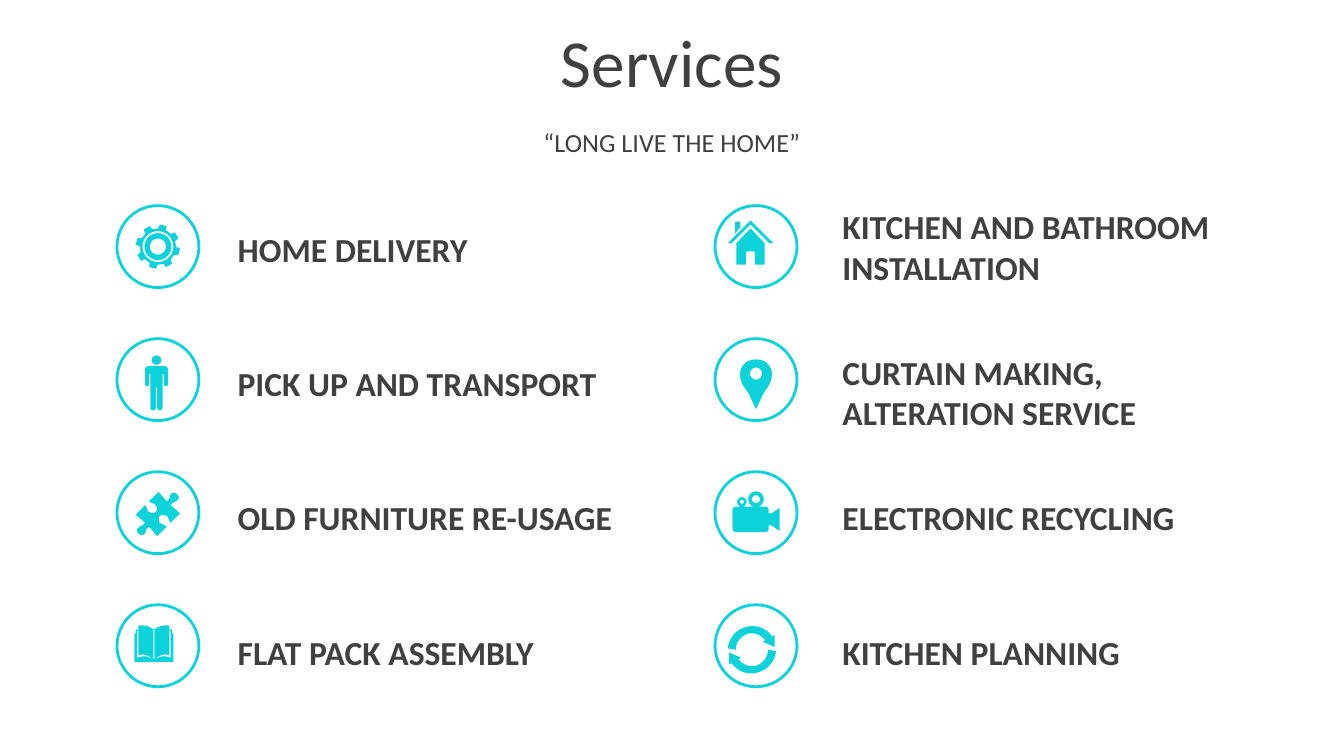
import math
from dataclasses import dataclass

import pptx
import pptx.dml.color
import pptx.enum.shapes
import pptx.enum.text
import pptx.util

Inches = pptx.util.Inches


@dataclass(frozen=True)
class Theme:
    accent: pptx.dml.color.RGBColor = pptx.dml.color.RGBColor(0x0D, 0xD2, 0xD9)
    ink: pptx.dml.color.RGBColor = pptx.dml.color.RGBColor(0x40, 0x40, 0x40)
    paper: pptx.dml.color.RGBColor = pptx.dml.color.RGBColor(255, 255, 255)
    font: str = "Calibri"
    title_size: int = 36
    subtitle_size: int = 14
    label_size: int = 18
    ring_width: float = 1.5


THEME = Theme()
RING = 0.61
FIRST_RING_TOP = 1.53
LAST_RING_TOP = 4.5
ROWS = 4


# Icon outlines are in hundredths of an inch around the icon's centre.
def trace(*steps):
    """Turn points (x, y) and Bezier steps (six numbers) into a list of points."""
    points = []
    for step in steps:
        if len(step) == 2:
            points.append(step)
            continue
        x0, y0 = points[-1]
        x1, y1, x2, y2, x3, y3 = step
        for t in (i / 8 for i in range(1, 9)):
            u = 1 - t
            weights = (u ** 3, 3 * u * u * t, 3 * u * t * t, t ** 3)
            points.append((sum(w * x for w, x in zip(weights, (x0, x1, x2, x3))),
                           sum(w * y for w, y in zip(weights, (y0, y1, y2, y3)))))
    return points


def polar(radius, degrees, x=0, y=0):
    angle = math.radians(degrees)
    return x + radius * math.cos(angle), y + radius * math.sin(angle)


def circle(x, y, radius):
    return [polar(radius, degrees, x, y) for degrees in range(0, 360, 10)]


def flip(points):
    return [(-x, y) for x, y in points]


def symmetric(points):
    return points + flip(points)[::-1]


def half_turn(points):
    return [(-x, -y) for x, y in points]


def gear():
    teeth = [polar(radius, 45 * tooth - 76 + turn)
             for tooth in range(8)
             for radius, turn in ((13.5, -13), (16.5, -9), (16.5, 9), (13.5, 13))]
    return [teeth] + [circle(0, 0, radius) for radius in (11.5, 10, 6)]


def person():
    body = trace((0, -10), (5.5, -10), (7.5, -10, 8.5, -9, 8.5, -7), (8.5, 4),
                 (8.5, 5, 5.5, 5, 5.5, 4), (5.5, -4), (4.5, -4), (4.5, 21),
                 (4.5, 23.5, 0.5, 23.5, 0.5, 21), (0.5, 6), (0, 6))
    return [symmetric(body), circle(0, -14.5, 3.5)]


def puzzle():
    half = trace((14.5, -14.5), (15.5, -13.5, 16.5, -11.5, 14.5, -10.5),
                 (13.5, -8.5, 11.5, -9.5, 9.5, -6.5), (16.5, -0.5), (9.5, 6.5),
                 (7.5, 4.5, 8.5, 2.5, 6.5, 1.5), (4.5, 0.5, 2.5, 0.5, 1.5, 1.5),
                 (0.5, 2.5, 0.5, 5.5, 1.5, 6.5), (3.5, 8.5, 4.5, 7.5, 6.5, 9.5),
                 (-0.5, 16.5), (-6.5, 9.5), (-9.5, 11.5, -8.5, 12.5, -9.5, 14.5),
                 (-11.5, 16.5, -13.5, 15.5, -14.5, 14.5))
    return [half + half_turn(half)]


def book():
    cover = trace((0, -12), (3, -14, 6, -15.5, 11.5, -15), (11.5, -12), (13.5, -12),
                  (13.5, -9), (14.5, -9), (14.5, 12), (0, 12))
    page_edge = trace((0.5, 10), (5.5, 8, 7.5, 7, 12.5, 9), (12.5, -11),
                      (11.5, -11), (11.5, 7), (7.5, 6, 4.5, 7, 0.5, 10))
    return [symmetric(cover), page_edge, flip(page_edge),
            symmetric([(0.4, -12), (0.4, 10)])]


def house():
    walls = trace((0, -13.5), (10.5, -2.5), (10.5, 13.5), (3.5, 13.5), (3.5, 6.5),
                  (3.5, 4.5, 3.5, 3.5, 1.5, 3.5), (0, 3.5))
    roof = [(0, -19.5), (17, -2.5), (14, -2.5), (0, -16.5)]
    chimney = [(-11.5, -18.5), (-7.5, -18.5), (-7.5, -14.5), (-11.5, -9.5)]
    return [symmetric(walls), symmetric(roof), chimney]


def pin():
    half = trace((0, -15), (3.5, -15, 6.5, -14, 8.5, -12),
                 (13.5, -7, 12.5, 0, 8.5, 6), (4.5, 11, 3.5, 15, 0, 22))
    return [symmetric(half), circle(0, -4.5, 4.5)]


def camera():
    body = trace((-14.5, -4.5), (6.5, -4.5), (8.5, -4.5, 9.5, -3.5, 9.5, -1.5),
                 (9.5, 0.5), (11.5, 0.5), (17.5, -3.5), (17.5, 13.5), (11.5, 9.5),
                 (9.5, 9.5), (9.5, 11.5), (9.5, 13.5, 8.5, 14.5, 6.5, 14.5),
                 (-14.5, 14.5), (-16.5, 14.5, -17.5, 13.5, -17.5, 11.5),
                 (-17.5, -1.5), (-17.5, -3.5, -16.5, -4.5, -14.5, -4.5))
    reels = [(-10.5, -8, 3.5), (-10.5, -8, 1.5), (0, -10, 5.8), (0, -10, 3)]
    return [body] + [circle(*reel) for reel in reels]


def cycle():
    arrow = trace((12, 0), (18, 1), (17, 9, 12, 15, 4, 17),
                  (-3, 19, -11, 16, -15, 10), (-17, 11), (-17, 2), (-8, 6), (-10, 7),
                  (-7, 11, -2, 13, 3, 12), (8, 10, 12, 6, 12, 0))
    return [arrow, half_turn(arrow)]


def add_ring(page, left, top):
    ring = page.shapes.add_shape(pptx.enum.shapes.MSO_SHAPE.OVAL, Inches(left),
                                 Inches(top), Inches(RING), Inches(RING))
    ring.shadow.inherit = False
    ring.fill.solid()
    ring.fill.fore_color.rgb = THEME.paper
    ring.line.color.rgb = THEME.accent
    ring.line.width = pptx.util.Pt(THEME.ring_width)


def add_icon(page, contours, center_x, center_y):
    placed = [[(Inches(center_x + x / 100), Inches(center_y + y / 100))
               for x, y in contour] for contour in contours]
    builder = page.shapes.build_freeform(*placed[0][0], scale=1.0)
    for index, contour in enumerate(placed):
        if index:
            builder.move_to(*contour[0])
        builder.add_line_segments(contour[1:], close=True)
    icon = builder.convert_to_shape()
    icon.shadow.inherit = False
    icon.fill.solid()
    icon.fill.fore_color.rgb = THEME.accent
    icon.line.fill.background()


def add_text(page, text, place, size, bold=False, centered=False):
    box = page.shapes.add_textbox(*(Inches(length) for length in place))
    frame = box.text_frame
    frame.word_wrap = True
    frame.vertical_anchor = pptx.enum.text.MSO_ANCHOR.MIDDLE
    para = frame.paragraphs[0]
    if centered:
        para.alignment = pptx.enum.text.PP_ALIGN.CENTER
    else:
        frame.auto_size = pptx.enum.text.MSO_AUTO_SIZE.SHAPE_TO_FIT_TEXT
    span = para.add_run()
    span.text = text
    span.font.name = THEME.font
    span.font.size = pptx.util.Pt(size)
    span.font.bold = bold
    span.font.color.rgb = THEME.ink


def add_services(page, ring_left, label_left, services):
    """Each service: icon, its shift from the ring's centre, label and label place."""
    pitch = (LAST_RING_TOP - FIRST_RING_TOP) / (ROWS - 1)
    for row, (icon, shift_x, shift_y, label, top, width, height) in enumerate(services):
        ring_top = FIRST_RING_TOP + row * pitch
        add_ring(page, ring_left, ring_top)
        add_icon(page, icon(), ring_left + RING / 2 + shift_x,
                 ring_top + RING / 2 + shift_y)
        add_text(page, label, (label_left, top, width, height),
                 THEME.label_size, bold=True)


def main():
    deck = pptx.Presentation()
    deck.slide_width = Inches(10)
    deck.slide_height = deck.slide_width * 9 // 16
    page = deck.slides.add_slide(deck.slide_layouts[6])
    add_text(page, "Services", (0, 0.14, 10, 0.63), THEME.title_size, centered=True)
    add_text(page, "“LONG LIVE THE HOME”", (0, 0.9, 10, 0.31),
             THEME.subtitle_size, centered=True)
    add_services(page, 0.87, 1.67, [
        (gear, 0, 0, "HOME DELIVERY", 1.65, 3.1, 0.4),
        (person, -0.01, 0, "PICK UP AND TRANSPORT", 2.65, 3.1, 0.4),
        (puzzle, 0, 0.01, "OLD FURNITURE RE-USAGE", 3.65, 3.1, 0.4),
        (book, -0.03, 0, "FLAT PACK ASSEMBLY", 4.65, 3.1, 0.4),
    ])
    add_services(page, 5.32, 6.17, [
        (house, -0.04, 0, "KITCHEN AND BATHROOM INSTALLATION", 1.48, 3.1, 0.71),
        (pin, 0, 0, "CURTAIN MAKING, ALTERATION SERVICE", 2.56, 3.25, 0.71),
        (camera, 0, 0, "ELECTRONIC RECYCLING", 3.65, 3.1, 0.4),
        (cycle, -0.03, 0.03, "KITCHEN PLANNING", 4.65, 3.1, 0.4),
    ])
    deck.save("out.pptx")


if __name__ == "__main__":
    main()
